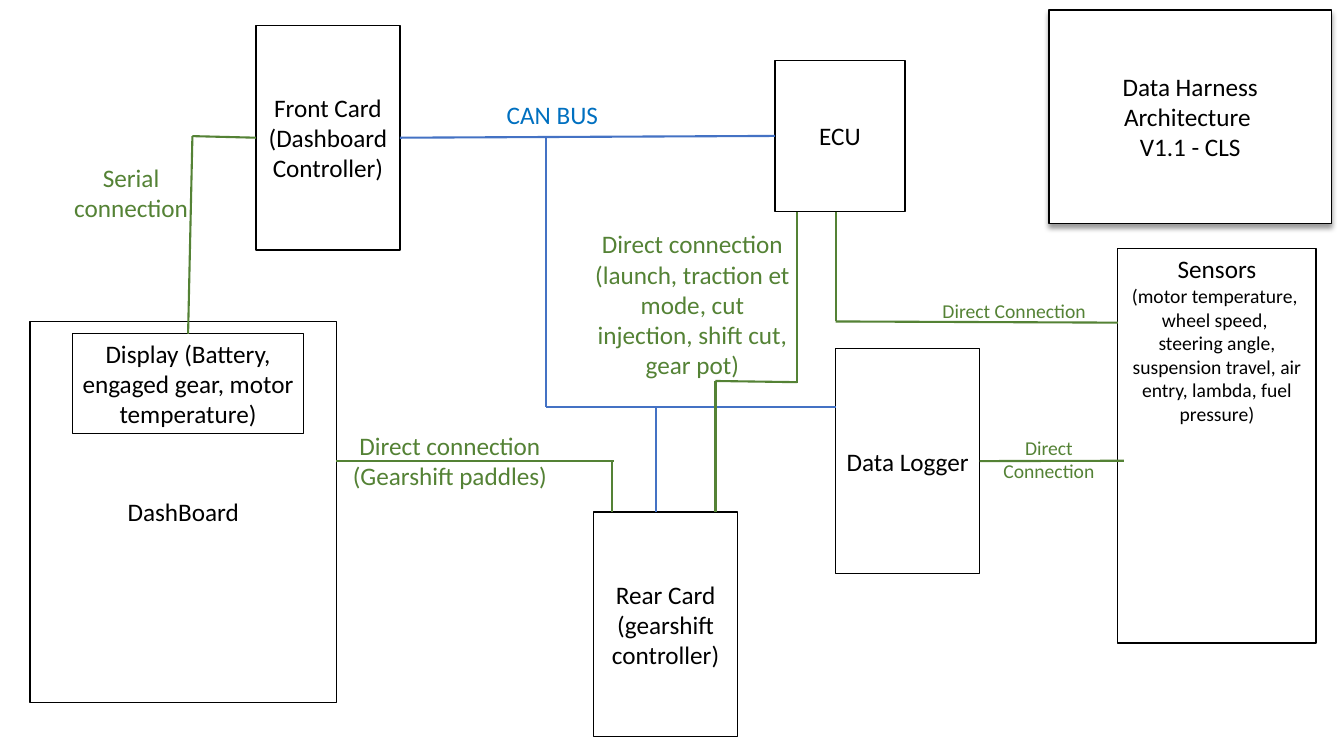
"""Draw the data harness architecture of the car on one slide."""
from lxml.etree import SubElement
from pptx import Presentation
from pptx.dml.color import RGBColor
from pptx.enum.shapes import MSO_CONNECTOR as Link, MSO_SHAPE as Form
from pptx.enum.text import MSO_ANCHOR as Anchor, MSO_AUTO_SIZE as Fit, PP_ALIGN as Align
from pptx.oxml.ns import qn
from pptx.util import Cm, Pt

TOP, LEFT, RIGHT = 0, 1, 3
CARD = (3.63, 5.66)


def ink(part, color):
    part.rgb = RGBColor.from_string(color)


def write(frame, *lines, size=18, sizes=None, color="000000", font="Calibri",
          align=Align.CENTER, anchor=Anchor.MIDDLE, fit=Fit.NONE):
    frame.word_wrap = True
    frame.auto_size = fit
    frame.vertical_anchor = anchor
    for i, line in enumerate(lines):
        para = frame.add_paragraph() if i else frame.paragraphs[0]
        para.text = line
        para.alignment = align
        points = sizes[i] if sizes else size
        for run in para.runs:
            run.font.size = Pt(points)
            run.font.name = font
            ink(run.font.color, color)
        for gap in para._p.findall(qn("a:br")):
            SubElement(gap, qn("a:rPr"), sz=str(points * 100))


class Chart:
    black, white = "000000", "FFFFFF"
    blue, green, sky = "4472C4", "548235", "0070C0"

    def __init__(self, deck):
        self.slide = deck.slides.add_slide(deck.slide_layouts[5])
        self.shapes = self.slide.shapes

    def dress(self, shape):
        shape.fill.solid()
        ink(shape.fill.fore_color, self.white)
        shape.line.width = Pt(1)
        ink(shape.line.color, self.black)
        shape.shadow.inherit = False

    def title(self, at, *lines):
        head = self.shapes.title
        head.left, head.top, head.width, head.height = map(Cm, at)
        self.dress(head)
        glow = SubElement(head._element.spPr.find(qn("a:effectLst")), qn("a:outerShdw"),
                          blurRad=str(Pt(4)), dist=str(Pt(3)), dir="5400000", rotWithShape="0")
        tint = SubElement(glow, qn("a:srgbClr"), val=self.black)
        SubElement(tint, qn("a:alpha"), val="40000")
        write(head.text_frame, *lines)

    def box(self, at, *lines, group=None, **style):
        home = group.shapes if group else self.shapes
        box = home.add_shape(Form.RECTANGLE, *map(Cm, at))
        self.dress(box)
        write(box.text_frame, *lines, **style)
        return box

    def label(self, at, *lines, **style):
        note = self.shapes.add_textbox(*map(Cm, at))
        style = {"color": self.green, "anchor": Anchor.TOP, "fit": Fit.SHAPE_TO_FIT_TEXT} | style
        write(note.text_frame, *lines, **style)

    def wire(self, start, end, color):
        spots = [(0, 0) if hasattr(p[0], "shape_id") else p for p in (start, end)]
        wire = self.shapes.add_connector(
            Link.STRAIGHT, *(Cm(n) for spot in spots for n in spot))
        for point, join in ((start, wire.begin_connect), (end, wire.end_connect)):
            if hasattr(point[0], "shape_id"):
                join(*point)
        wire.line.width = Pt(1.5)
        ink(wire.line.color, color)
        SubElement(wire._element.spPr, qn("a:effectLst"))


def main():
    deck = Presentation()
    deck.slide_width, deck.slide_height = Cm(33.87), Cm(19.05)
    chart = Chart(deck)

    chart.title((26.44, 0.25, 7.11, 5.38), "Data Harness", "Architecture ", "V1.1 - CLS")
    engine = chart.box((19.53, 1.52, 3.28, 3.81), "ECU")
    chart.box((14.96, 12.9, *CARD), "Rear Card (gearshift controller)")
    front = chart.box((6.45, 0.64, *CARD), "Front Card", "(Dashboard Controller)")
    logger = chart.box((21.06, 8.79, *CARD), "Data Logger")
    dash = chart.shapes.add_group_shape()
    chart.box((0.76, 8.1, 7.72, 9.6), "DashBoard", group=dash)
    screen = chart.box((1.83, 8.41, 5.82, 2.51),
                       "Display (Battery, engaged gear, motor temperature)", group=dash)
    chart.box((28.17, 6.27, 5, 9.93), "Sensors",
              "(motor temperature, \vwheel speed, \vsteering angle, "
              "suspension travel, air entry, lambda, fuel pressure)",
              sizes=(18, 14), anchor=Anchor.TOP)

    for start, end in (
        ((front, RIGHT), (engine, LEFT)),
        ((13.77, 3.45), (13.77, 10.26)),
        ((21.06, 10.26), (13.77, 10.26)),
        ((16.54, 10.26), (16.54, 12.9)),
    ):
        chart.wire(start, end, chart.blue)
    for start, end in (
        ((4.85, 3.43), (front, LEFT)),
        ((4.85, 3.43), (screen, TOP)),
        ((8.48, 11.61), (15.47, 11.61)),
        ((15.42, 11.61), (15.42, 12.9)),
        ((logger, RIGHT), (28.32, 11.61)),
        ((21.06, 8.1), (28.17, 8.13)),
        ((21.06, 5.33), (21.06, 8.1)),
        ((18.03, 9.6), (20.09, 9.63)),
        ((20.09, 5.33), (20.09, 9.65)),
        ((18.03, 9.6), (18.03, 12.9)),
    ):
        chart.wire(start, end, chart.green)

    chart.label((1.22, 3.96, 4.17, 1.8), "Serial connection")
    chart.label((12.52, 2.39, 4.17, 1.02), "CAN BUS", color=chart.sky, align=Align.LEFT)
    chart.label((8.33, 10.72, 6.02, 1.8), "Direct connection", "(Gearshift paddles)")
    chart.label((14.73, 5.64, 5.44, 4.11), "Direct connection",
                "(launch, traction et mode, cut injection, shift cut, gear pot)")
    for at in ((24.77, 10.85, 3.33, 1.45), (23.44, 7.42, 4.24, 0.86)):
        chart.label(at, "Direct Connection", size=14)

    deck.save("out.pptx")


if __name__ == "__main__":
    main()
